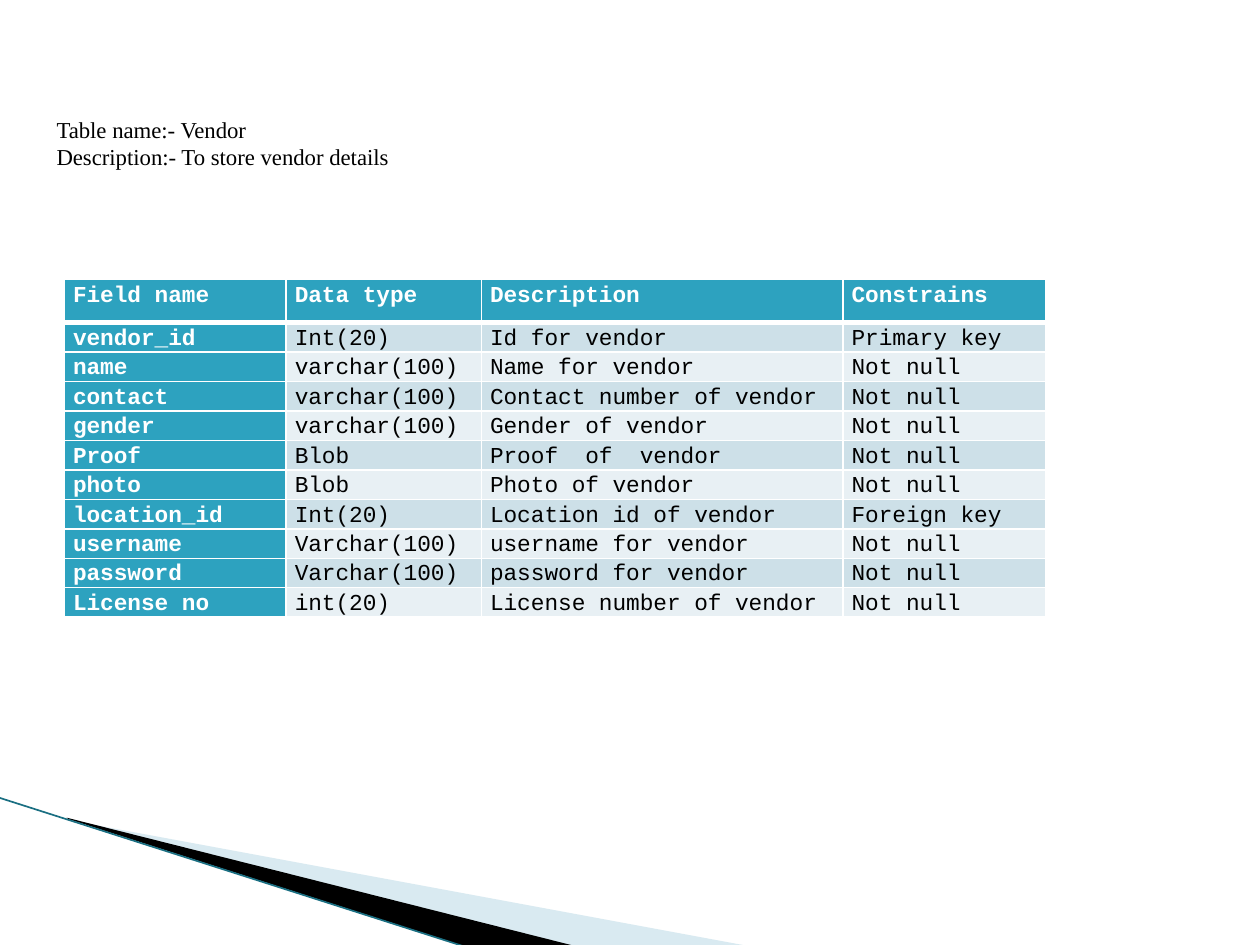
from lxml import etree
from pptx import Presentation
from pptx.dml.color import RGBColor
from pptx.enum.shapes import MSO_CONNECTOR
from pptx.oxml.ns import qn
from pptx.util import Inches, Pt

STRAIGHT = MSO_CONNECTOR.STRAIGHT


class Theme:
    accent = "2DA2BF"
    bands = ("CDE0E8", "E8F0F4")
    white = "FFFFFF"
    black = "000000"
    wedge = "A0CBDC"
    edge = "1A6F82"
    title_font = "Times New Roman"
    table_font = "Courier New"
    size = Pt(13)


CAPTION = ["Table name:- Vendor", "Description:- To store vendor details"]
HEADER = ("Field name", "Data type", "Description", "Constrains")
FIELDS = [
    ("vendor_id", "Int(20)", "Id for vendor", "Primary key"),
    ("name", "varchar(100)", "Name for vendor", "Not null"),
    ("contact", "varchar(100)", "Contact number of vendor", "Not null"),
    ("gender", "varchar(100)", "Gender of vendor", "Not null"),
    ("Proof", "Blob", "Proof  of  vendor", "Not null"),
    ("photo", "Blob", "Photo of vendor", "Not null"),
    ("location_id", "Int(20)", "Location id of vendor", "Foreign key"),
    ("username", "Varchar(100)", "username for vendor", "Not null"),
    ("password", "Varchar(100)", "password for vendor", "Not null"),
    ("License no", "int(20)", "License number of vendor", "Not null"),
]
COLUMNS = (1.76, 1.55, 2.87, 1.61)
HEADER_HEIGHT, FIELD_HEIGHT = 0.34, 0.23
TABLE_LEFT, TABLE_TOP = 0.51, 2.22

# Corner points, fill and opacity in percent
WEDGES = [
    ([(0.55, 6.51), (5.95, 7.51), (4.56, 7.51), (0.55, 6.5)], Theme.wedge, 40),
    ([(0.53, 6.49), (4.57, 7.51), (3.72, 7.52), (0.54, 6.5)], Theme.black, 100),
]
EDGE = (-0.01, 6.33, 3.71, 7.52)


def rgb(value):
    return RGBColor.from_string(value)


def style_font(p, name, color, bold=False):
    for r in p.runs:
        r.font.name, r.font.size, r.font.bold = name, Theme.size, bold
        r.font.color.rgb = rgb(color)


def add_wedge(s, points, color, opacity):
    corners = [(Inches(x), Inches(y)) for x, y in points]
    builder = s.shapes.build_freeform(*corners[0])
    builder.add_line_segments(corners[1:], close=True)
    sp = builder.convert_to_shape()
    sp.shadow.inherit = False
    sp.line.fill.background()
    sp.fill.solid()
    sp.fill.fore_color.rgb = rgb(color)
    if opacity < 100:
        clr = sp.fill._xPr.find(qn("a:solidFill"))[0]
        etree.SubElement(clr, qn("a:alpha")).set("val", str(opacity * 1000))


def add_edge(s):
    line = s.shapes.add_connector(STRAIGHT, *(Inches(v) for v in EDGE))
    line.line.color.rgb = rgb(Theme.edge)
    line.line.width = Pt(0.95)
    etree.SubElement(line._element.spPr, qn("a:effectLst"))


def add_borders(cell, widths):
    """Draw white cell borders; widths maps each side to points."""
    tcPr = cell._tc.get_or_add_tcPr()
    for side, width in widths.items():
        ln = etree.SubElement(tcPr, qn(f"a:ln{side}"), w=str(Pt(width)))
        fill = etree.SubElement(ln, qn("a:solidFill"))
        etree.SubElement(fill, qn("a:srgbClr"), val=Theme.white)


def fill_cell(cell, text, row, col):
    strong = row == 0 or col == 0
    add_borders(cell, {"L": 1, "R": 1, "T": 3 if row == 1 else 1,
                       "B": 3 if row == 0 else 1})
    cell.fill.solid()
    cell.fill.fore_color.rgb = rgb(
        Theme.accent if strong else Theme.bands[(row - 1) % 2])
    cell.margin_left = cell.margin_right = Inches(0.07)
    cell.margin_top = cell.margin_bottom = 0
    p = cell.text_frame.paragraphs[0]
    p.text = text
    p.line_spacing = 1.15
    style_font(p, Theme.table_font, Theme.white if strong else Theme.black, strong)


def add_field_table(s):
    rows = [HEADER] + FIELDS
    heights = [HEADER_HEIGHT] + [FIELD_HEIGHT] * len(FIELDS)
    table = s.shapes.add_table(
        len(rows), len(COLUMNS), Inches(TABLE_LEFT), Inches(TABLE_TOP),
        Inches(sum(COLUMNS)), Inches(sum(heights))).table
    table.first_col = True
    for column, width in zip(table.columns, COLUMNS):
        column.width = Inches(width)
    for i, (texts, height) in enumerate(zip(rows, heights)):
        table.rows[i].height = Inches(height)
        for j, text in enumerate(texts):
            fill_cell(table.cell(i, j), text, i, j)


def add_caption(s):
    tf = s.shapes.add_textbox(
        Inches(0.35), Inches(0.87), Inches(9.65), Inches(0.5)).text_frame
    tf.word_wrap = True
    tf.text = "\n".join(CAPTION)
    for p in tf.paragraphs:
        style_font(p, Theme.title_font, Theme.black)


def main():
    prs = Presentation()
    prs.slide_width, prs.slide_height = Inches(10), Inches(7.5)
    s = prs.slides.add_slide(prs.slide_layouts[6])
    for wedge in WEDGES:
        add_wedge(s, *wedge)
    add_edge(s)
    add_field_table(s)
    add_caption(s)
    prs.save("out.pptx")


if __name__ == "__main__":
    main()
